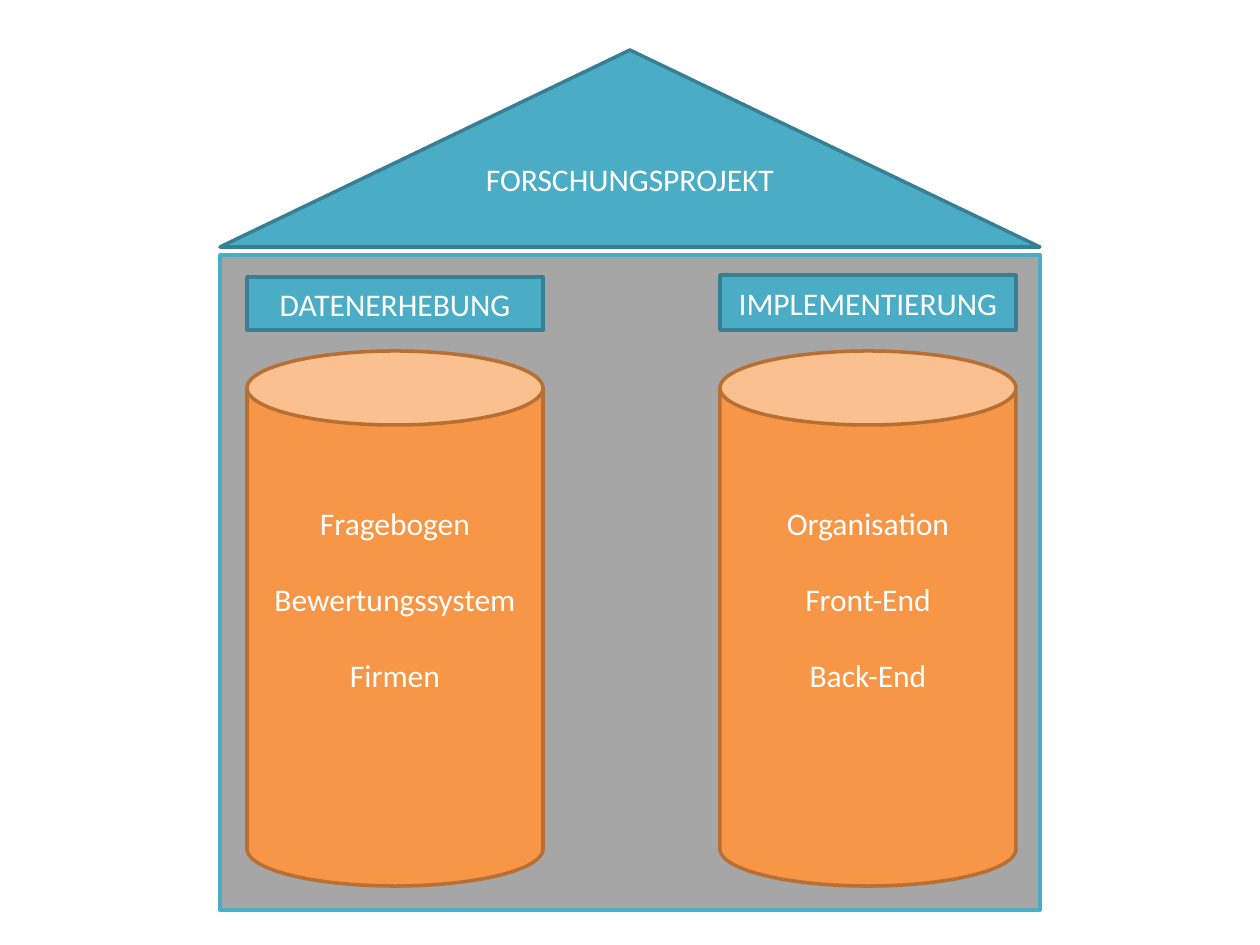
import pptx
import pptx.util
from pptx.dml.color import RGBColor
from pptx.enum.shapes import MSO_SHAPE
from pptx.enum.text import MSO_ANCHOR, PP_ALIGN

PX_PER_INCH = 126
LINE = 38  # height of one 18 pt text line
INSET = 6
TEAL, TEAL_DARK = "4BACC6", "377F92"
ORANGE, ORANGE_DARK = "F79646", "B76F34"
GREY, WHITE = "A6A6A6", "FFFFFF"


def px(length):
    return pptx.util.Emu(round(length * 914400 / PX_PER_INCH))


def color(value):
    return RGBColor.from_string(value)


def add_block(page, kind, box, fill, line, lines=(), lift=0):
    """Draw a filled shape; lift raises its centred text by adding bottom inset."""
    shape = page.shapes.add_shape(kind, *[px(length) for length in box])
    shape.shadow.inherit = False
    shape.fill.solid()
    shape.fill.fore_color.rgb = color(fill)
    shape.line.color.rgb = color(line)
    shape.line.width = pptx.util.Pt(2)
    if not lines:
        return
    frame = shape.text_frame
    frame.word_wrap = True
    frame.vertical_anchor = MSO_ANCHOR.MIDDLE
    frame.margin_bottom = px(INSET + lift)
    frame.text = "\n".join(lines)
    for index, para in enumerate(frame.paragraphs):
        para.alignment = PP_ALIGN.CENTER
        para.space_before = pptx.util.Pt(22 if index else 0)
        for span in para.runs:
            span.font.name = "Calibri"
            span.font.size = pptx.util.Pt(18)
            span.font.color.rgb = color(WHITE)


def add_roof(page, box, title):
    add_block(page, MSO_SHAPE.ISOSCELES_TRIANGLE, box, TEAL, TEAL_DARK, [title], LINE)


def add_pillar(page, box, label_height, label, topics):
    """Label resting above a cylinder that fills the rest of the box."""
    left, top, width, height = box
    label_bottom, can_top = 55, 76
    add_block(page, MSO_SHAPE.CAN, (left, top + can_top, width, height - can_top),
              ORANGE, ORANGE_DARK, topics, 2 * LINE)
    add_block(page, MSO_SHAPE.RECTANGLE,
              (left, top + label_bottom - label_height, width, label_height),
              TEAL, TEAL_DARK, [label])


def add_house(page, box):
    left, top, width, height = box
    roof_height, wall_top = 197, 205
    # Wall behind the pillars
    add_block(page, MSO_SHAPE.RECTANGLE,
              (left, top + wall_top, width, height - wall_top), GREY, TEAL)
    add_roof(page, (left, top, width, roof_height), "FORSCHUNGSPROJEKT")
    # Pillars
    pillars = [
        (27, 53, "DATENERHEBUNG", ["Fragebogen", "Bewertungssystem", "Firmen"]),
        (500, 55, "IMPLEMENTIERUNG", ["Organisation", "Front-End", "Back-End"]),
    ]
    for offset, label_height, label, topics in pillars:
        add_pillar(page, (left + offset, top + 225, 296, 611),
                   label_height, label, topics)


def main():
    deck = pptx.Presentation()
    deck.slide_width, deck.slide_height = px(1260), px(945)
    page = deck.slides.add_slide(deck.slide_layouts[6])
    add_house(page, (220, 50, 820, 860))
    deck.save("out.pptx")


if __name__ == "__main__":
    main()
